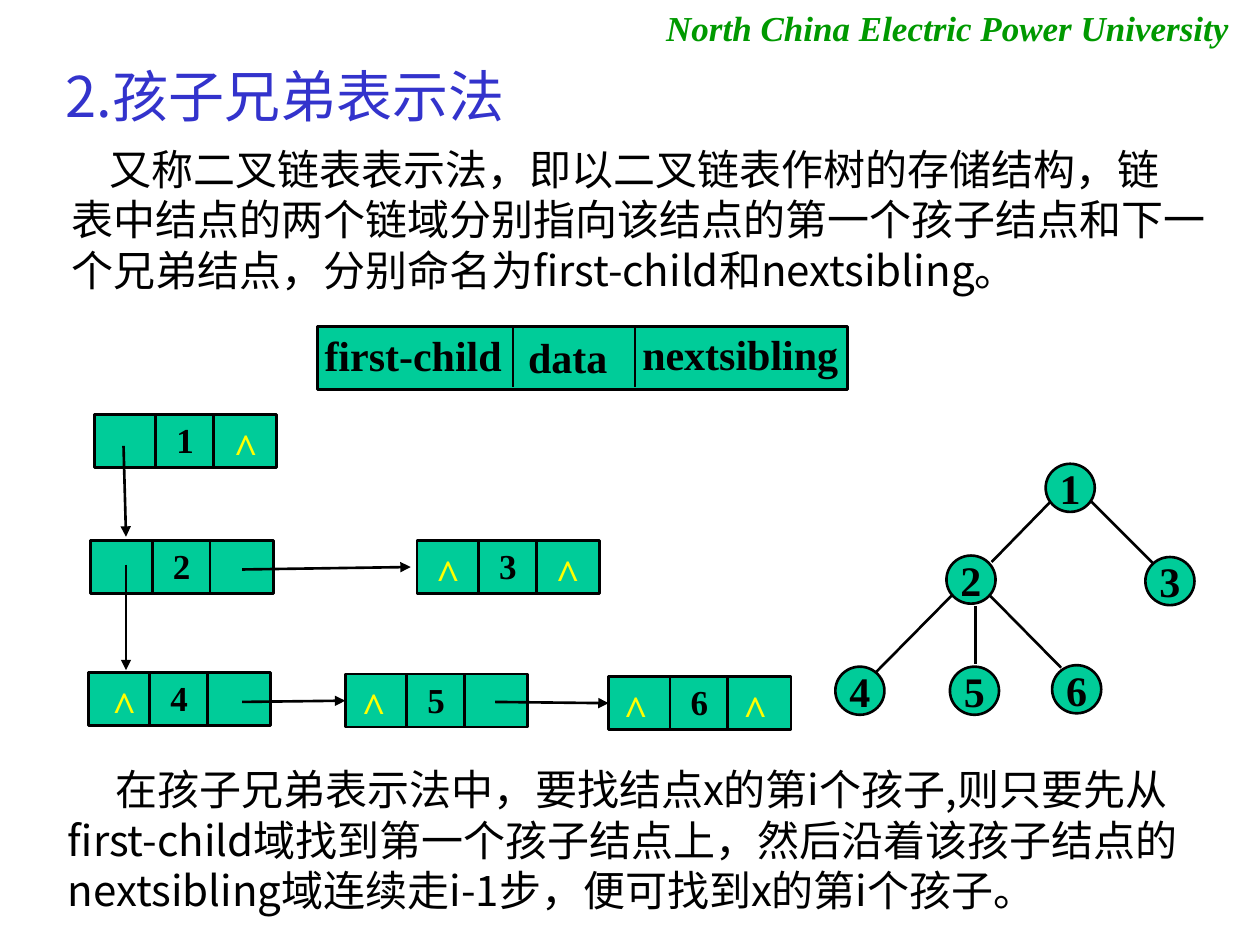
from typing import NamedTuple, Optional

import pptx
import pptx.dml.color
import pptx.enum.shapes
import pptx.enum.text
import pptx.oxml.ns
import pptx.util
from lxml import etree

Cm = pptx.util.Cm
SHAPE = pptx.enum.shapes.MSO_SHAPE
ALIGN = pptx.enum.text.PP_ALIGN
ANCHOR = pptx.enum.text.MSO_ANCHOR

SERIF, SANS = "Times New Roman", "Noto Sans CJK SC"
GREEN, BLACK, YELLOW = "00CC99", "000000", "FFFF00"
RECORD_W, RECORD_H = 3.68, 1.07
DIVIDERS = (1.24, 2.4)
CIRCLE_W, CIRCLE_H = 0.99, 0.97


class Record(NamedTuple):
    label: str
    x: float
    y: float
    null_offsets: tuple = ()


class TreeNode(NamedTuple):
    label: str
    x: float
    y: float


class Line(NamedTuple):
    x1: float
    y1: float
    x2: float
    y2: float
    target: Optional[str] = None


RECORDS = [
    Record("1", 1.9, 8.36, (2.56,)),
    Record("2", 1.83, 10.9),
    Record("3", 8.41, 10.9, (0.13, 2.54)),
    Record("4", 1.78, 13.56, (0.23,)),
    Record("5", 6.96, 13.59, (0.08,)),
    Record("6", 12.27, 13.64, (0.05, 2.46)),
]
POINTERS = [
    Line(2.49, 8.99, 2.54, 10.82),
    Line(4.88, 11.48, 8.28, 11.43),
    Line(2.54, 11.38, 2.54, 13.51),
    Line(4.88, 14.15, 6.96, 14.13, "5"),
    Line(9.98, 14.15, 12.27, 14.18, "6"),
]
TREE = [
    TreeNode("1", 21.08, 9.35),
    TreeNode("2", 19.08, 11.2),
    TreeNode("3", 23.09, 11.23),
    TreeNode("4", 16.84, 13.44),
    TreeNode("5", 19.15, 13.44),
    TreeNode("6", 21.21, 13.41),
]
BRANCHES = [
    Line(21.18, 10.11, 19.99, 11.33),
    Line(22, 10.11, 23.24, 11.35),
    Line(19.18, 12.01, 17.65, 13.56),
    Line(19.66, 12.22, 19.66, 13.39),
    Line(19.96, 12.01, 21.39, 13.46),
]


def rgb(value: str):
    return pptx.dml.color.RGBColor.from_string(value)


def write(tf, text: str, *, size=24, font=SERIF, color=BLACK, bold=False,
          italic=False, align=ALIGN.LEFT, indent=0, wrap=False):
    """Fill a frame, one paragraph a line; indent applies to the first."""
    tf.word_wrap = wrap
    for i, line in enumerate(text.split("\n")):
        p = tf.add_paragraph() if i else tf.paragraphs[0]
        p.alignment = align
        if indent and not i:
            p._p.get_or_add_pPr().set("indent", str(Cm(indent)))
        r = p.add_run()
        r.text = line
        f = r.font
        f.size, f.name, f.bold, f.italic = pptx.util.Pt(size), font, bold, italic
        f.color.rgb = rgb(color)
        ea = etree.SubElement(r._r.get_or_add_rPr(), pptx.oxml.ns.qn("a:ea"))
        ea.set("typeface", font)


def add_text(s, text: str, x: float, y: float, w: float, h: float, **fmt):
    tb = s.shapes.add_textbox(Cm(x), Cm(y), Cm(w), Cm(h))
    write(tb.text_frame, text, **fmt)
    tb.text_frame.auto_size = pptx.enum.text.MSO_AUTO_SIZE.SHAPE_TO_FIT_TEXT


def add_box(s, kind, x: float, y: float, w: float, h: float):
    sp = s.shapes.add_shape(kind, Cm(x), Cm(y), Cm(w), Cm(h))
    sp.shadow.inherit = False
    sp.fill.solid()
    sp.fill.fore_color.rgb = rgb(GREEN)
    sp.line.color.rgb = rgb(BLACK)
    sp.line.width = pptx.util.Pt(1.5)
    return sp


def add_line(s, line: Line, arrow: bool = False):
    c = s.shapes.add_connector(
        pptx.enum.shapes.MSO_CONNECTOR.STRAIGHT,
        Cm(line.x1), Cm(line.y1), Cm(line.x2), Cm(line.y2))
    c.line.color.rgb = rgb(BLACK)
    c.line.width = pptx.util.Pt(1.5)
    if arrow:
        ln = c.line._get_or_add_ln()
        etree.SubElement(ln, pptx.oxml.ns.qn("a:tailEnd")).set("type", "triangle")
    etree.SubElement(c._element.spPr, pptx.oxml.ns.qn("a:effectLst"))
    return c


def add_record(s, rec: Record):
    sp = add_box(s, SHAPE.RECTANGLE, rec.x, rec.y, RECORD_W, RECORD_H)
    for dx in DIVIDERS:
        add_line(s, Line(rec.x + dx, rec.y, rec.x + dx, rec.y + RECORD_H))
    add_text(s, rec.label, rec.x + 1.4, rec.y - 0.04, 0.86, 1.12,
             size=20, bold=True, align=ALIGN.CENTER)
    for dx in rec.null_offsets:
        add_text(s, "^", rec.x + dx, rec.y + 0.01, 0.99, 1.27,
                 color=YELLOW, bold=True, align=ALIGN.CENTER)
    return sp


def add_tree_node(s, node: TreeNode):
    sp = add_box(s, SHAPE.OVAL, node.x, node.y, CIRCLE_W, CIRCLE_H)
    sp.text_frame.vertical_anchor = ANCHOR.MIDDLE
    write(sp.text_frame, node.label, bold=True, align=ALIGN.CENTER)


def main():
    prs = pptx.Presentation()
    prs.slide_width, prs.slide_height = Cm(25.4), Cm(19.05)
    s = prs.slides.add_slide(prs.slide_layouts[6])

    add_text(s, "2.孩子兄弟表示法", 1.07, 1.12, 9.63, 1.63,
             size=32, font=SANS, color="3333CC")
    add_text(s, "又称二叉链表表示法，即以二叉链表作树的存储结构，链\n"
                "表中结点的两个链域分别指向该结点的第一个孩子结点和下一\n"
                "个兄弟结点，分别命名为first-child和nextsibling。",
             1.19, 2.77, 23.37, 3.3, font=SANS, indent=0.76)

    add_box(s, SHAPE.RECTANGLE, 6.4, 6.58, 10.69, 1.27)
    for x in (10.34, 12.8):
        add_line(s, Line(x, 6.6, x, 7.8))
    for label, x, y, w in (("data", 10.34, 6.55, 2.21),
                           ("first-child", 6.2, 6.51, 4.26),
                           ("nextsibling", 12.6, 6.49, 4.65)):
        add_text(s, label, x, y, w, 1.27, bold=True, align=ALIGN.CENTER)

    for node in TREE:
        add_tree_node(s, node)
    for branch in BRANCHES:
        add_line(s, branch)

    boxes = {rec.label: add_record(s, rec) for rec in RECORDS}
    for pointer in POINTERS:
        c = add_line(s, pointer, arrow=True)
        if pointer.target:
            c.end_connect(boxes[pointer.target], 1)

    add_text(s, "在孩子兄弟表示法中，要找结点x的第i个孩子,则只要先从first-child域"
                "找到第一个孩子结点上，然后沿着该孩子结点的nextsibling域连续走i-1步，"
                "便可找到x的第i个孩子。",
             1.12, 15.27, 23.6, 3.3, font=SANS, indent=0.95, wrap=True)
    add_text(s, "North China Electric Power University", 13.18, 0, 11.86, 1.12,
             size=20, color="009900", bold=True, italic=True)

    prs.save("out.pptx")


if __name__ == "__main__":
    main()
